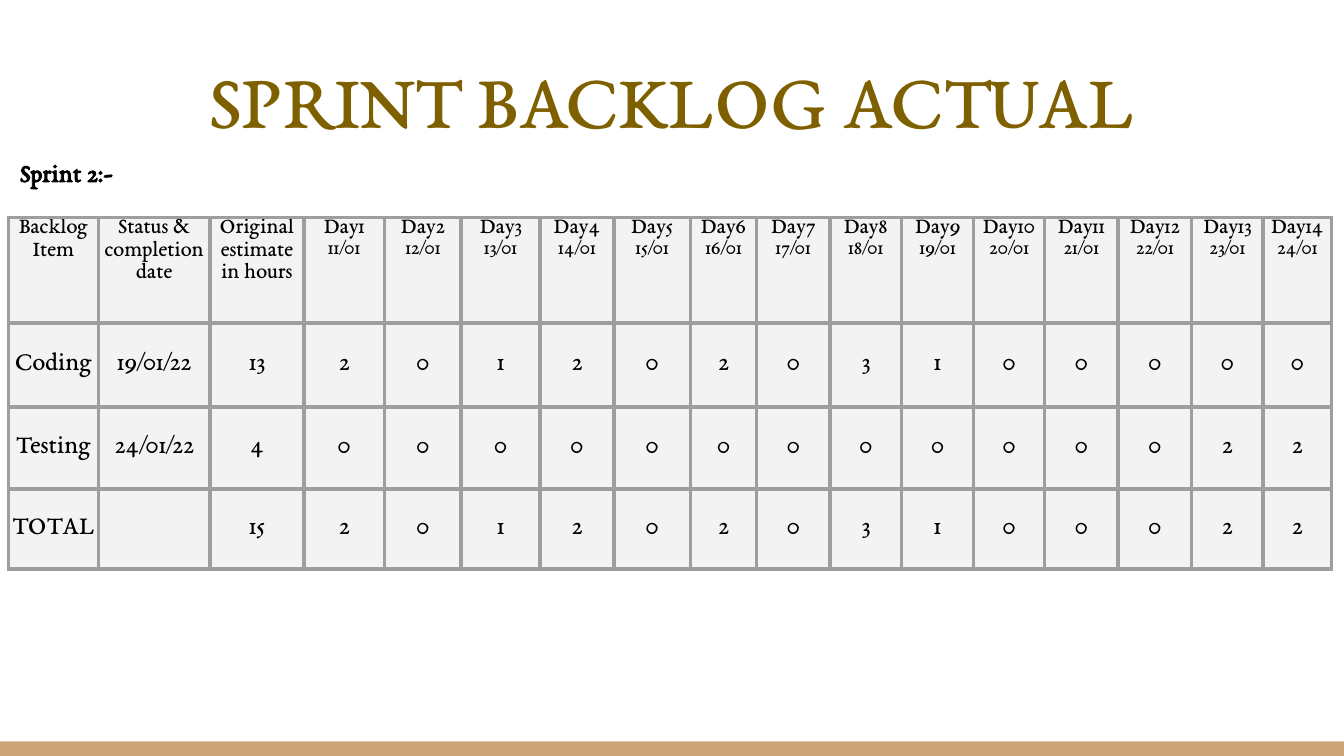
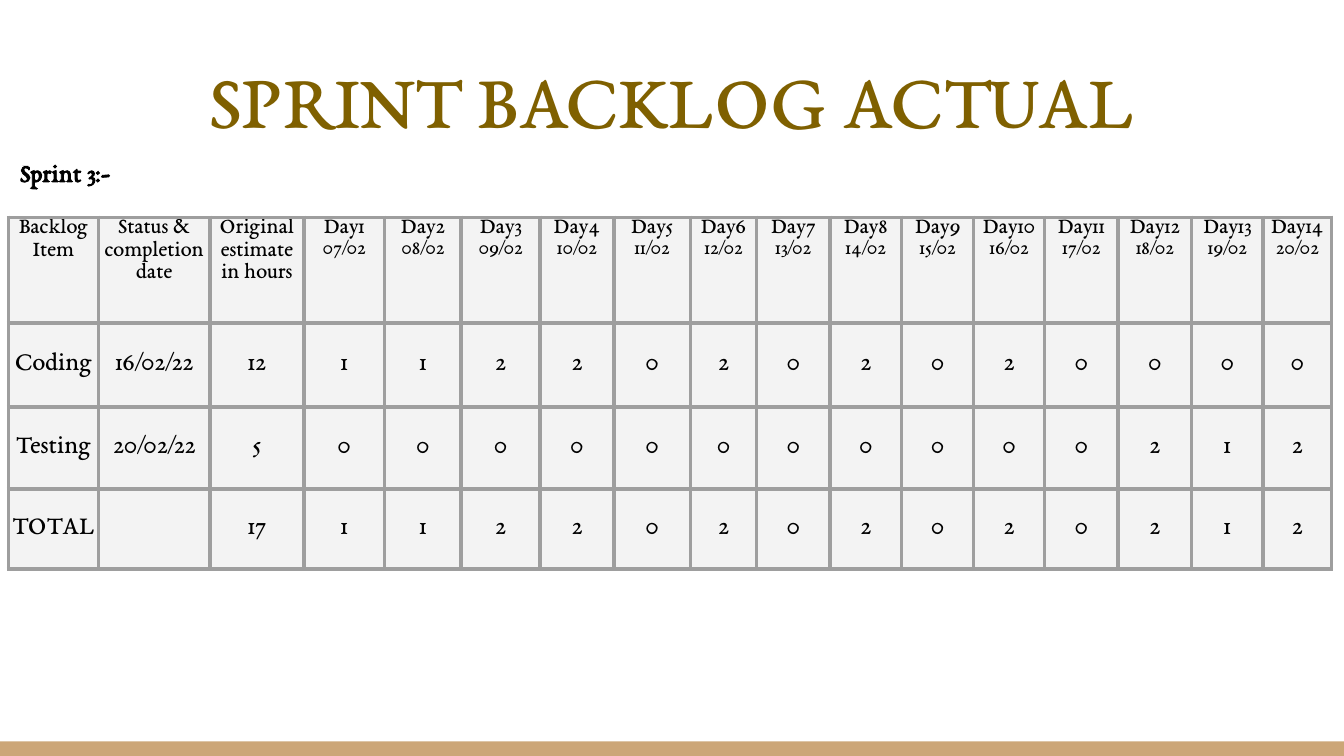
from lxml import etree
from pptx import Presentation
from pptx.dml.color import RGBColor
from pptx.enum.shapes import MSO_SHAPE
from pptx.enum.text import MSO_ANCHOR, PP_ALIGN
from pptx.oxml.ns import qn
from pptx.util import Pt

TOP, MIDDLE, BOTTOM = MSO_ANCHOR.TOP, MSO_ANCHOR.MIDDLE, MSO_ANCHOR.BOTTOM
LEFT, CENTER = PP_ALIGN.LEFT, PP_ALIGN.CENTER
RECTANGLE = MSO_SHAPE.RECTANGLE

TITLE = "SPRINT BACKLOG ACTUAL"
LEAD_HEADINGS = ["Backlog Item", "Status & completion date", "Original estimate in hours"]
SPRINTS = [
    {
        "name": "Sprint 2:-", "first_day": 11, "month": "01", "total_estimate": 15,
        "items": [
            ("Coding", "19/01/22", 13, [2, 0, 1, 2, 0, 2, 0, 3, 1, 0, 0, 0, 0, 0]),
            ("Testing", "24/01/22", 4, [0, 0, 0, 0, 0, 0, 0, 0, 0, 0, 0, 0, 2, 2]),
        ],
    },
    {
        "name": "Sprint 3:-", "first_day": 7, "month": "02", "total_estimate": 17,
        "items": [
            ("Coding", "16/02/22", 12, [1, 1, 2, 2, 0, 2, 0, 2, 0, 2, 0, 0, 0, 0]),
            ("Testing", "20/02/22", 5, [0, 0, 0, 0, 0, 0, 0, 0, 0, 0, 0, 2, 1, 2]),
        ],
    },
]

COLORS = {"title": "7F6000", "text": "000000", "band": "CCA677",
          "cell": "F3F3F3", "border": "9E9E9E"}
FONT = "EB Garamond"
SLIDE_W, SLIDE_H, BAND_H = 720, 405, 7.8
TABLE_LEFT, TABLE_TOP = 4.6, 116.5
COLUMN_WIDTHS = [48.2, 59.8, 50.2, 43.3, 41.1, 42.2, 39.6, 41, 35.5,
                 39.2, 38.5, 38.5, 38.1, 39.4, 39.4, 38.3, 36.7]
ROW_HEIGHTS = [56.6, 44.9, 43.9, 43]
BORDER_WIDTH = 2.25


def write(frame, lines, sizes, color="text", bold=False, align=CENTER):
    """Put one paragraph per line into frame, each with its own size."""
    frame.word_wrap = True
    for number, (line, size) in enumerate(zip(lines, sizes)):
        paragraph = frame.paragraphs[0] if number == 0 else frame.add_paragraph()
        paragraph.alignment = align
        run = paragraph.add_run()
        run.text = line
        run.font.name = FONT
        run.font.size = Pt(size)
        run.font.bold = bold
        run.font.color.rgb = RGBColor.from_string(COLORS[color])


def add_text(slide, box, text, size, anchor=TOP, **style):
    frame = slide.shapes.add_textbox(*map(Pt, box)).text_frame
    frame.margin_left = frame.margin_right = Pt(7.2)
    frame.margin_top = frame.margin_bottom = Pt(7.2)
    frame.vertical_anchor = anchor
    write(frame, [text], [size], **style)


def add_band(slide):
    band = slide.shapes.add_shape(RECTANGLE, 0, Pt(SLIDE_H - BAND_H), Pt(SLIDE_W), Pt(BAND_H))
    band.shadow.inherit = False
    band.fill.solid()
    band.fill.fore_color.rgb = RGBColor.from_string(COLORS["band"])
    band.line.fill.background()


def style_cell(cell, anchor):
    cell.margin_left = cell.margin_right = cell.margin_top = cell.margin_bottom = 0
    cell.vertical_anchor = anchor
    properties = cell._tc.get_or_add_tcPr()
    for side in ("a:lnL", "a:lnR", "a:lnT", "a:lnB"):
        line = etree.SubElement(properties, qn(side), w=str(Pt(BORDER_WIDTH)))
        fill = etree.SubElement(line, qn("a:solidFill"))
        etree.SubElement(fill, qn("a:srgbClr"), val=COLORS["border"])
    cell.fill.solid()
    cell.fill.fore_color.rgb = RGBColor.from_string(COLORS["cell"])


def backlog_rows(sprint):
    """Return the table rows, each cell being a list of lines."""
    items = sprint["items"]
    day_totals = [sum(hours) for hours in zip(*(item[3] for item in items))]
    days = [[f"Day{number + 1}", f"{sprint['first_day'] + number:02}/{sprint['month']}"]
            for number in range(len(day_totals))]
    total = ("TOTAL", "", sprint["total_estimate"], day_totals)
    return [[[heading] for heading in LEAD_HEADINGS] + days] + [
        [[str(value)] for value in (name, date, estimate, *hours)]
        for name, date, estimate, hours in [*items, total]]


def add_backlog(slide, sprint):
    rows = backlog_rows(sprint)
    table = slide.shapes.add_table(
        len(rows), len(COLUMN_WIDTHS), Pt(TABLE_LEFT), Pt(TABLE_TOP),
        Pt(sum(COLUMN_WIDTHS)), Pt(sum(ROW_HEIGHTS))).table
    for column, width in zip(table.columns, COLUMN_WIDTHS):
        column.width = Pt(width)
    for r, (row, height) in enumerate(zip(rows, ROW_HEIGHTS)):
        table.rows[r].height = Pt(height)
        for c, lines in enumerate(row):
            cell = table.cell(r, c)
            style_cell(cell, MIDDLE if r else TOP)
            if lines != [""]:
                write(cell.text_frame, lines, [14] if r else [12, 11])


def main():
    deck = Presentation()
    deck.slide_width, deck.slide_height = Pt(SLIDE_W), Pt(SLIDE_H)
    for sprint in SPRINTS:
        slide = deck.slides.add_slide(deck.slide_layouts[6])
        add_band(slide)
        add_text(slide, (24.5, 18.7, 671, 65.5), TITLE, 42, anchor=BOTTOM, color="title")
        add_backlog(slide, sprint)
        add_text(slide, (3.6, 76.3, 113, 31.7), sprint["name"], 14, bold=True, align=LEFT)
    deck.save("out.pptx")


if __name__ == "__main__":
    main()
